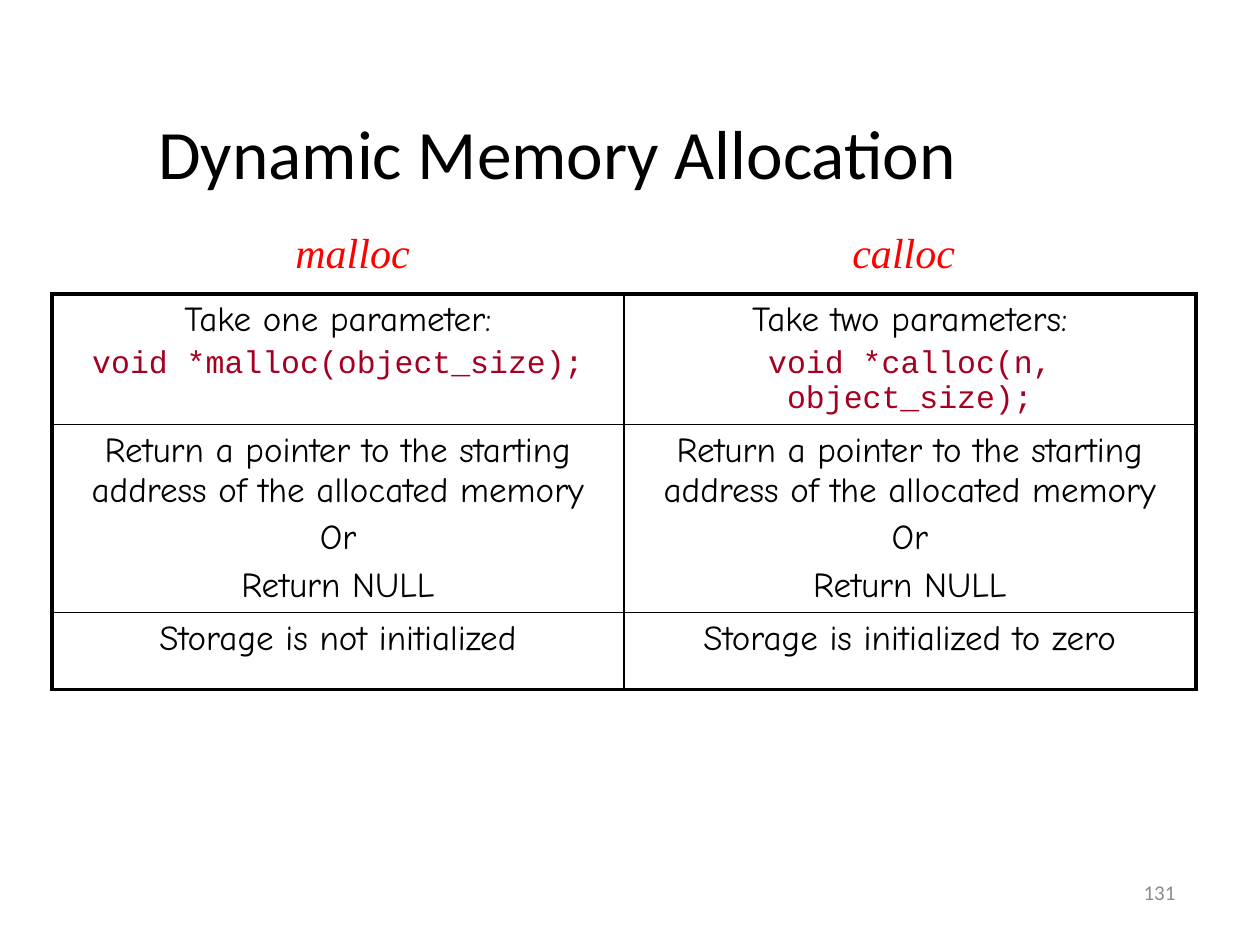
from dataclasses import dataclass

from lxml.etree import SubElement, Element
from pptx import Presentation
from pptx.dml.color import RGBColor
from pptx.enum.text import MSO_ANCHOR as Anchor, MSO_AUTO_SIZE as AutoSize, PP_ALIGN as Align
from pptx.oxml.ns import qn
from pptx.util import Emu, Pt

PX_PER_INCH = 126
COLORS = {"ink": "000000", "code": "A50021", "heading": "FF0000", "number": "8C8C8C"}
THICK, THIN = 2.25, 1


@dataclass(frozen=True)
class Label:
    text: str
    left: int
    top: int
    width: int
    height: int
    size: float
    font: str = "Calibri"
    color: str = "ink"
    italic: bool = False
    align: Align = Align.LEFT
    anchor: Anchor = Anchor.TOP
    wrap: bool = True


@dataclass(frozen=True)
class Line:
    text: str
    size: int = 20
    font: str = "Comic Neue"
    color: str = "ink"


def px(length: int) -> Emu:
    return Emu(round(length * 914400 / PX_PER_INCH))


def write(para, text: str, *, size: float, font: str, color: str,
          italic: bool = False, align: Align = Align.CENTER, before: float = 0) -> None:
    para.alignment = align
    para.space_before = Pt(before)
    span = para.add_run()
    span.text = text
    span.font.size = Pt(size)
    span.font.name = font
    span.font.italic = italic
    span.font.color.rgb = RGBColor.from_string(COLORS[color])


def add_label(page, label: Label) -> None:
    box = page.shapes.add_textbox(px(label.left), px(label.top),
                                  px(label.width), px(label.height))
    frame = box.text_frame
    frame.word_wrap = label.wrap
    frame.auto_size = AutoSize.NONE if label.wrap else AutoSize.SHAPE_TO_FIT_TEXT
    frame.vertical_anchor = label.anchor
    write(frame.paragraphs[0], label.text, size=label.size, font=label.font,
          color=label.color, italic=label.italic, align=label.align)


def set_borders(cell, widths: dict[str, float]) -> None:
    properties = cell._tc.get_or_add_tcPr()
    for index, (side, width) in enumerate(widths.items()):
        border = Element(qn(f"a:ln{side}"), w=str(Pt(width)))
        fill = SubElement(border, qn("a:solidFill"))
        SubElement(fill, qn("a:srgbClr"), val=COLORS["ink"])
        properties.insert(index, border)


def add_comparison(page, rows: list, heights: list[int], left: int, top: int,
                   column_width: int) -> None:
    columns = len(rows[0])
    table = page.shapes.add_table(len(rows), columns, px(left), px(top),
                                  px(column_width * columns), px(sum(heights))).table
    for column in table.columns:
        column.width = px(column_width)
    for r, (cells, height) in enumerate(zip(rows, heights)):
        table.rows[r].height = px(height)
        for c, lines in enumerate(cells):
            cell = table.cell(r, c)
            cell.margin_bottom = 0
            cell.fill.background()
            # Thick outer frame, thin inner rules
            set_borders(cell, {
                "L": THICK if c == 0 else THIN,
                "R": THICK if c == columns - 1 else THIN,
                "T": THICK if r == 0 else THIN,
                "B": THICK if r == len(rows) - 1 else THIN,
            })
            frame = cell.text_frame
            for i, line in enumerate(lines):
                para = frame.add_paragraph() if i else frame.paragraphs[0]
                write(para, line.text, size=line.size, font=line.font,
                      color=line.color, before=0.2 * line.size if i else 0)


def code(text: str) -> Line:
    return Line(text, size=18, font="Courier New", color="code")


def heading(text: str, left: int, width: int) -> Label:
    return Label(text, left, 220, width, 63, 24, font="Times New Roman",
                 color="heading", italic=True, wrap=False)


RETURNS = [
    Line("Return a pointer to the starting address of the allocated memory"),
    Line("Or"),
    Line("Return NULL"),
]
ROWS = [
    [[Line("Take one parameter:"), code("void *malloc(object_size);")],
     [Line("Take two parameters:"), code("void *calloc(n, object_size);")]],
    [RETURNS, RETURNS],
    [[Line("Storage is not initialized")], [Line("Storage is initialized to zero")]],
]
LABELS = [
    Label("131", 926, 861, 262, 63, 12, color="number",
          align=Align.RIGHT, anchor=Anchor.MIDDLE),
    Label("Dynamic Memory Allocation", 84, 105, 947, 94, 39.6,
          align=Align.CENTER, anchor=Anchor.MIDDLE),
    heading("malloc", 283, 142),
    heading("calloc", 840, 130),
]


def main() -> None:
    deck = Presentation()
    deck.slide_width, deck.slide_height = px(1260), px(945)
    page = deck.slides.add_slide(deck.slide_layouts[6])

    # Title, column headings and page number
    for label in LABELS:
        add_label(page, label)

    # Comparison table
    add_comparison(page, ROWS, [130, 188, 77], left=52, top=294, column_width=572)

    deck.save("out.pptx")


if __name__ == "__main__":
    main()
